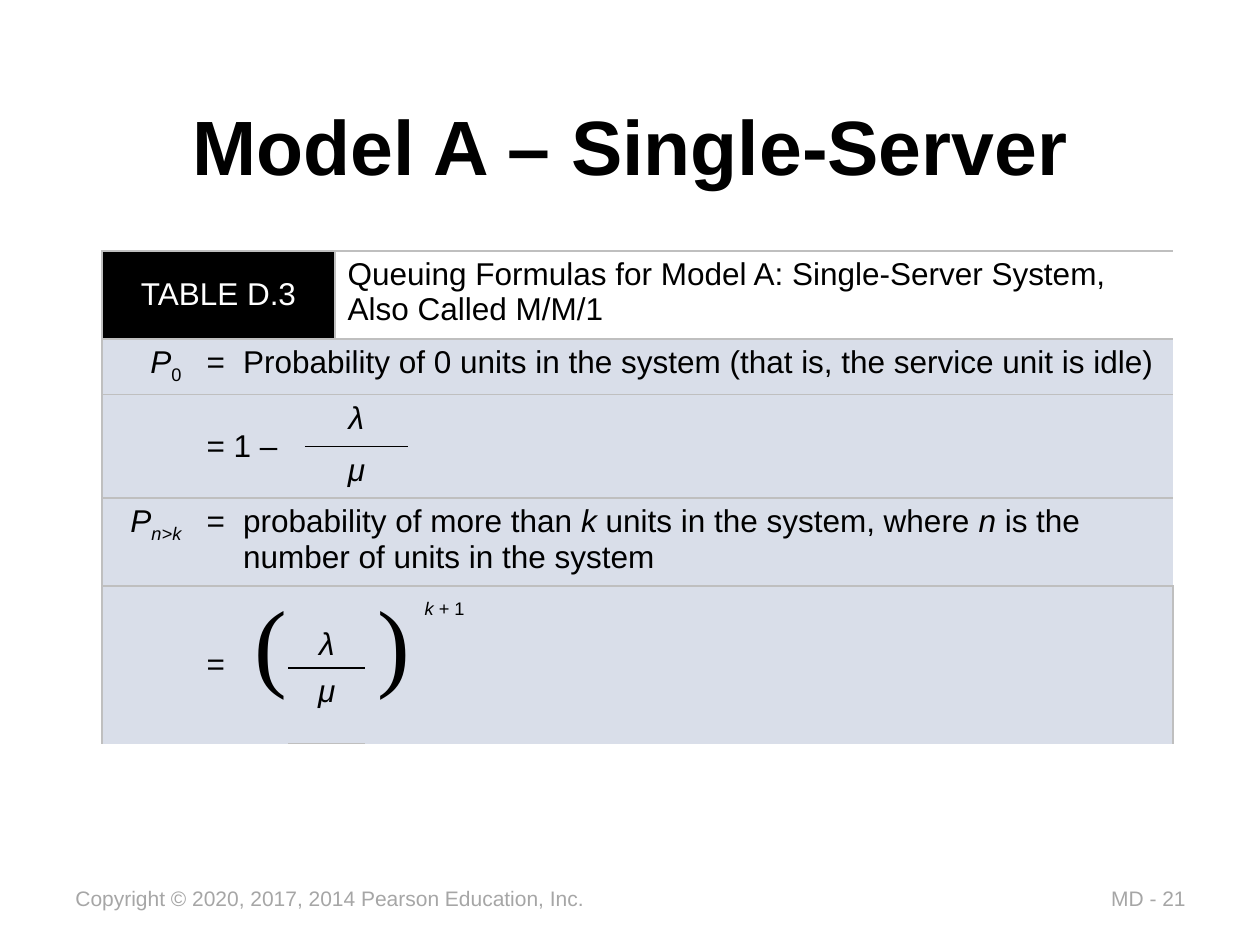
"""Build the single-server queuing formula slide."""
from itertools import product
from lxml import etree
from pptx import Presentation
from pptx.dml.color import RGBColor as RGB
from pptx.enum.text import MSO_ANCHOR as Anchor, PP_ALIGN as Align
from pptx.oxml.ns import qn
from pptx.util import Inches, Pt

INK = {"text": "000000", "paper": "FFFFFF", "panel": "D9DEE9", "grid": "BFBFBF", "foot": "A6A6A6"}
ALIGN = {"l": Align.LEFT, "c": Align.CENTER, "r": Align.RIGHT}
ANCHOR = {"t": Anchor.TOP, "m": Anchor.MIDDLE, "b": Anchor.BOTTOM}


def style(font, size, color, name="Arial"):
    font.name, font.size = name, Pt(size)
    font.color.rgb = RGB.from_string(INK[color])


def border(cell, sides):
    props = cell._tc.get_or_add_tcPr()
    for spot, side in enumerate(s for s in "LRTB" if s in sides):
        line = etree.Element(qn(f"a:ln{side}"), w=str(Pt(1)))
        fill = etree.SubElement(line, qn("a:solidFill"))
        etree.SubElement(fill, qn("a:srgbClr"), val=INK[sides[side]])
        props.insert(spot, line)


deck = Presentation()
deck.slide_width, deck.slide_height = Inches(10), Inches(7.5)
slide = deck.slides.add_slide(deck.slide_layouts[5])

title = slide.shapes.title
title.left, title.top, title.width, title.height = map(Inches, (0.58, 0.63, 8.85, 1.04))
title.text_frame.text = "Model A – Single-Server"
title.text_frame.vertical_anchor = Anchor.MIDDLE
head = title.text_frame.paragraphs[0]
head.alignment = Align.CENTER
style(head.font, 44, "text")
head.font.bold = True

for left, width, text in (
    (0.5, 4.28, "Copyright © 2020, 2017, 2014 Pearson Education, Inc."),
    (8.72, 0.82, "MD - 21"),
):
    box = slide.shapes.add_textbox(Inches(left), Inches(6.98), Inches(width), Inches(0.3))
    box.text_frame.word_wrap = False
    box.text_frame.text = text
    style(box.text_frame.paragraphs[0].font, 12, "foot")

widths = (0.73, 0.38, 0.37, 0.13, 0.24, 0.24, 0.34, 0.58, 5.49)
heights = (0.7, 0.44, 0.41, 0.41, 0.7, 0.41, 0.24, 0.6)
frame = slide.shapes.add_table(
    len(heights), len(widths), Inches(0.81), Inches(1.99), Inches(sum(widths)), Inches(sum(heights))
)
table = frame.table
table.first_row = table.horz_banding = False
table._tbl.tblPr.find(qn("a:tableStyleId")).text = "{2D5ABB26-0587-4C30-8999-92F81FD0307C}"
for col, width in zip(table.columns, widths):
    col.width = Inches(width)
for row, height in zip(table.rows, heights):
    row.height = Inches(height)

grid = dict.fromkeys("LRTB", "grid")
over, under = {"B": "text"}, {"T": "text", "B": "grid"}
first, last = {"L": "grid", "T": "grid"}, {"R": "grid", "T": "grid"}
low, end = {"L": "grid", "B": "grid"}, {"R": "grid", "B": "grid"}
lam, mu = [("λ", "i")], [("μ", "i")]
idle = "=\tProbability of 0 units in the system (that is, the service unit is idle)"
more = [
    ("=\tprobability of more than ", ""), ("k", "i"), (" units in the system, where ", ""),
    ("n", "i"), (" is the number of units in the system", ""),
]
cells = [
    (0, 0, 1, 5, "cm", grid, [("TABLE D.3", "")]),
    (0, 5, 1, 4, "lt", grid,
     [("Queuing Formulas for Model A: Single-Server System, Also Called M/M/1", "")]),
    (1, 0, 1, 1, "rt", first, [("P", "i"), ("0", "-")]),
    (1, 1, 1, 8, "lt", last, [(idle, "")]),
    (2, 0, 2, 1, "lt", low, []),
    (2, 1, 2, 3, "lm", {}, [("= 1 –", "")]),
    (2, 4, 1, 3, "ct", over, lam),
    (2, 7, 2, 2, "lt", end, []),
    (3, 4, 1, 3, "ct", under, mu),
    (4, 0, 1, 1, "rt", first, [("P", "i"), ("n>k", "i-")]),
    (4, 1, 1, 8, "lt", last, more),
    (5, 0, 3, 1, "lt", low, []),
    (5, 1, 3, 1, "lm", {}, [("=", "")]),
    (5, 2, 3, 1, "lt", {}, [("(", "")]),
    (5, 3, 2, 3, "cb", over, lam),
    (5, 6, 3, 1, "lt", {}, [(")", "")]),
    (5, 7, 1, 1, "cb", {}, [("k ", "i+"), ("+ 1", "+")]),
    (5, 8, 3, 1, "lt", end, []),
    (6, 7, 2, 1, "lt", {}, []),
    (7, 3, 1, 3, "ct", under, mu),
]
for row, col, tall, wide, place, edges, runs in cells:
    base, right = row + tall - 1, col + wide - 1
    cell = table.cell(row, col)
    if tall * wide > 1:
        cell.merge(table.cell(base, right))
    shade = "panel" if row else "paper" if col else "text"
    for r, c in product(range(row, base + 1), range(col, right + 1)):
        part = table.cell(r, c)
        part.fill.solid()
        part.fill.fore_color.rgb = RGB.from_string(INK[shade])
        outer = {"L": c == col, "R": c == right, "T": r == row, "B": r == base}
        border(part, {side: hue for side, hue in edges.items() if outer[side]})
    cell.vertical_anchor = ANCHOR[place[1]]
    para = cell.text_frame.paragraphs[0]
    para.alignment = ALIGN[place[0]]
    if runs and runs[0][0].startswith("="):
        props = para._p.get_or_add_pPr()
        props.set("marL", str(Inches(0.29)))
        props.set("indent", str(-Inches(0.29)))
    for text, marks in runs:
        run = para.add_run()
        run.text = text
        big = text in "()"
        style(run.font, 56 if big else 18, "paper" if shade == "text" else "text",
              "Times New Roman" if big else "Arial")
        run.font.italic = "i" in marks
        if "-" in marks or "+" in marks:
            run.font._element.set("baseline", "-25000" if "-" in marks else "30000")

deck.save("out.pptx")
